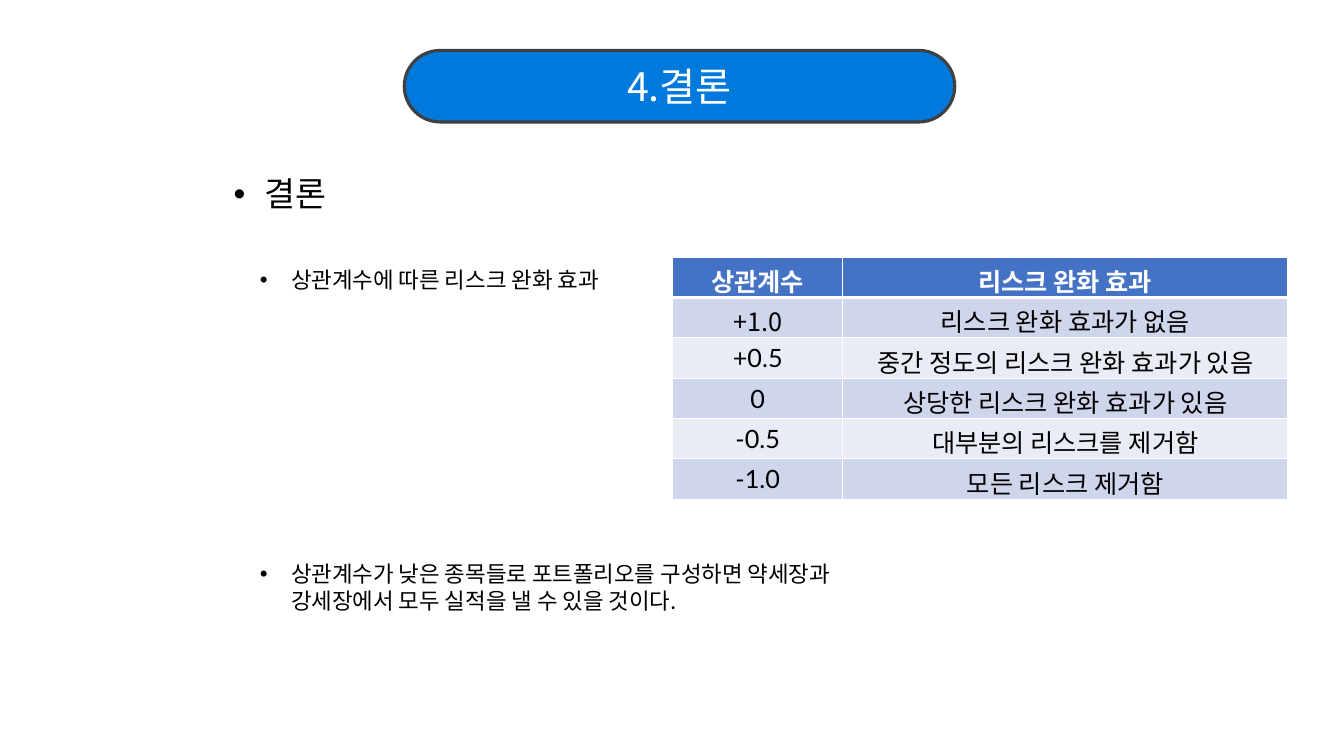
from dataclasses import dataclass

from lxml.etree import SubElement
from pptx import Presentation
from pptx.dml.color import RGBColor as RGB
from pptx.enum.shapes import MSO_SHAPE as SHAPE
from pptx.enum.text import MSO_ANCHOR as ANCHOR, PP_ALIGN as ALIGN
from pptx.oxml.ns import qn
from pptx.util import Inches, Pt


@dataclass(frozen=True)
class Theme:
    font: str = "Noto Sans CJK KR"
    latin: str = "Lato"
    banner: str = "0079DC"
    edge: str = "404040"
    head: str = "4472C4"
    bands: tuple = ("CFD5EA", "E9EBF5")
    white: str = "FFFFFF"
    black: str = "000000"
    title: int = 28
    topic: int = 24
    cell: int = 18
    point: int = 16


T = Theme()

ROWS = [
    ("상관계수", "리스크 완화 효과"),
    ("+1.0", "리스크 완화 효과가 없음"),
    ("+0.5", "중간 정도의 리스크 완화 효과가 있음"),
    ("0", "상당한 리스크 완화 효과가 있음"),
    ("-0.5", "대부분의 리스크를 제거함"),
    ("-1.0", "모든 리스크 제거함"),
]
POINTS = [
    "상관계수에 따른 리스크 완화 효과",
    "상관계수가 낮은 종목들로 포트폴리오를 구성하면 약세장과 강세장에서 모두 실적을 낼 수 있을 것이다.",
]


def style(para, size, color, bold=False, latin=T.font):
    """Format the runs, with the Korean font for East Asian text."""
    for run in para.runs:
        font = run.font
        font.size, font.bold, font.name = Pt(size), bold, latin
        font.color.rgb = RGB.from_string(color)
        SubElement(font._element, qn("a:ea"), typeface=T.font)


def add_title(slide, text, *box):
    """Place the title on a rounded banner."""
    box = [Inches(v) for v in box]
    pill = slide.shapes.add_shape(SHAPE.ROUNDED_RECTANGLE, *box)
    pill.adjustments[0] = 0.5
    pill.shadow.inherit = False
    pill.fill.solid()
    pill.fill.fore_color.rgb = RGB.from_string(T.banner)
    pill.line.color.rgb = RGB.from_string(T.edge)
    pill.line.width = Pt(2.25)

    title = slide.shapes.title
    pill._element.addnext(title._element)
    title.left, title.top, title.width, title.height = box
    frame = title.text_frame
    frame.text = text
    frame.vertical_anchor = ANCHOR.MIDDLE
    para = frame.paragraphs[0]
    para.alignment = ALIGN.CENTER
    style(para, T.title, T.white)


def add_bullets(slide, lines, size, gap, *box):
    """Add a bulleted text box with a gap in points between its items."""
    shape = slide.shapes.add_textbox(*[Inches(v) for v in box])
    frame = shape.text_frame
    frame.text = "\n".join(lines)
    frame.word_wrap = True
    for i, para in enumerate(frame.paragraphs):
        props = para._p.get_or_add_pPr()
        props.set("marL", str(Inches(0.31)))
        props.set("indent", str(Inches(-0.31)))
        if i:
            para.space_before = Pt(gap)
        SubElement(props, qn("a:buFont"), typeface="Arial")
        SubElement(props, qn("a:buChar"), char="•")
        style(para, size, T.black)


def add_border(cell, side, width):
    line = SubElement(cell._tc.get_or_add_tcPr(), qn(f"a:ln{side}"),
                      w=str(Pt(width)))
    fill = SubElement(line, qn("a:solidFill"))
    SubElement(fill, qn("a:srgbClr"), val=T.white)


def fill_cell(cell, text, row, latin):
    head = row == 0
    for side in "LRTB":
        thick = (head and side == "B") or (row == 1 and side == "T")
        add_border(cell, side, 3 if thick else 1)
    cell.fill.solid()
    back = T.head if head else T.bands[(row - 1) % 2]
    cell.fill.fore_color.rgb = RGB.from_string(back)
    cell.vertical_anchor = ANCHOR.MIDDLE
    cell.text_frame.text = text
    para = cell.text_frame.paragraphs[0]
    para.alignment = ALIGN.CENTER
    style(para, T.cell, T.white if head else T.black, head, latin)


def add_grid(slide, rows, left, top, widths, height):
    grid = slide.shapes.add_table(
        len(rows), len(widths), Inches(left), Inches(top),
        Inches(sum(widths)), Inches(height * len(rows))).table
    for col, width in zip(grid.columns, widths):
        col.width = Inches(width)
    for r, texts in enumerate(rows):
        for c, text in enumerate(texts):
            latin = T.font if c == 0 and r < 2 else T.latin
            fill_cell(grid.cell(r, c), text, r, latin)


def main():
    deck = Presentation()
    deck.slide_width, deck.slide_height = Inches(13.33), Inches(7.5)
    slide = deck.slides.add_slide(deck.slide_layouts[5])
    add_title(slide, "4.결론", 4.01, 0.5, 5.46, 0.71)
    add_bullets(slide, ["결론"], T.topic, 0, 2.22, 1.67, 11, 0.81)
    add_bullets(slide, POINTS, T.point, 191, 2.48, 2.59, 6.44, 4.14)
    add_grid(slide, ROWS, 6.67, 2.55, (1.69, 4.41), 0.4)
    deck.save("out.pptx")


if __name__ == "__main__":
    main()
